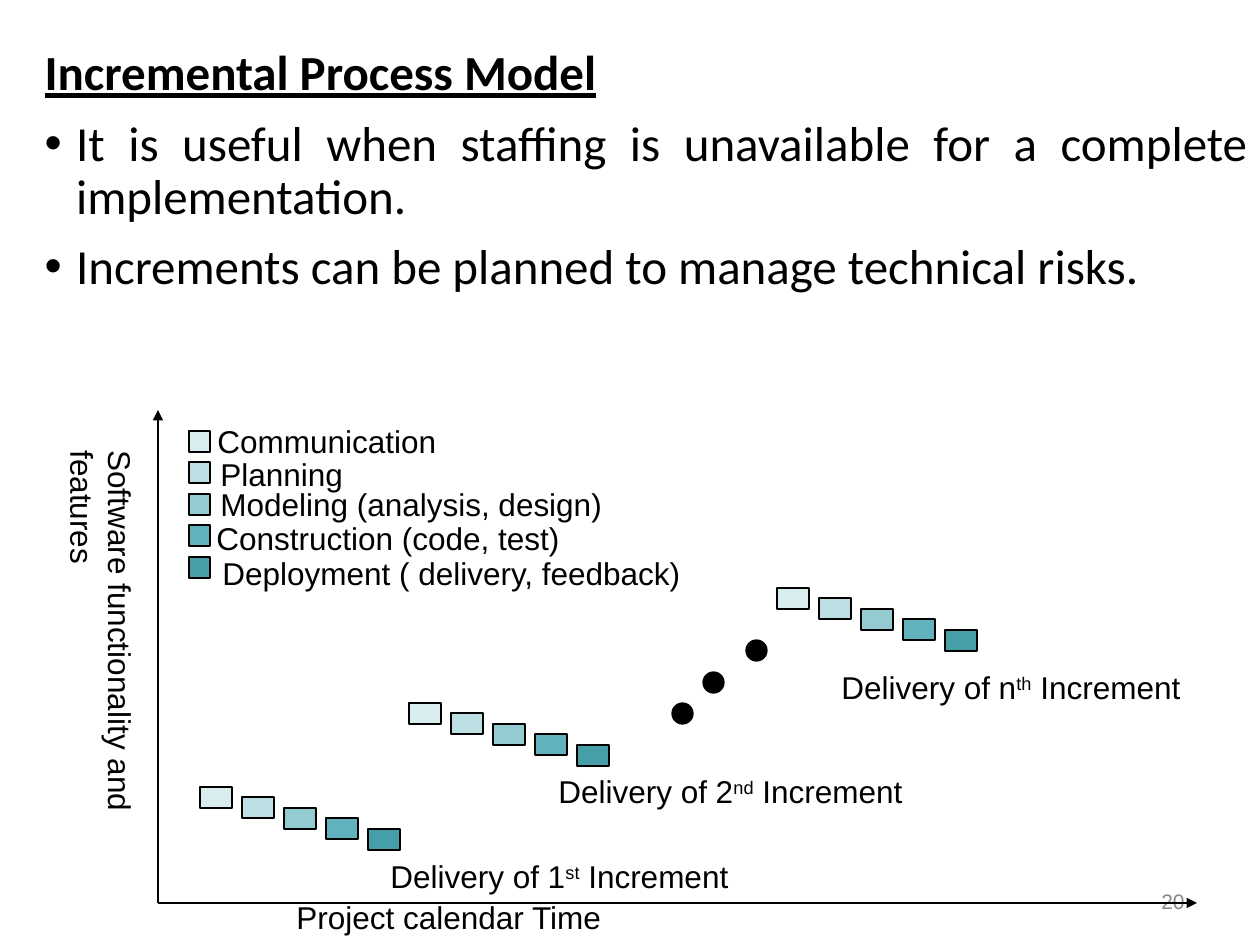
from dataclasses import dataclass

from lxml.etree import SubElement
from pptx import Presentation
from pptx.dml.color import RGBColor
from pptx.enum.shapes import MSO_CONNECTOR as Link, MSO_SHAPE as Shape
from pptx.enum.text import MSO_ANCHOR as Anchor, MSO_AUTO_SIZE as Fit, PP_ALIGN as Align
from pptx.oxml.ns import qn
from pptx.slide import Slide
from pptx.util import Inches, Pt

SCALE = Inches(1) / 126
BLACK = RGBColor(0x00, 0x00, 0x00)
GRAY = RGBColor(0x89, 0x89, 0x89)
PHASE_COLORS = [
    RGBColor(0xD9, 0xED, 0xEF),
    RGBColor(0xBB, 0xDF, 0xE3),
    RGBColor(0x93, 0xCB, 0xD1),
    RGBColor(0x60, 0xB3, 0xBC),
    RGBColor(0x46, 0x9F, 0xA8),
]
PHASE_LABELS = [
    ("Communication", 205, 416, 273),
    ("Planning", 208, 449, 273),
    ("Modeling (analysis, design)", 208, 479, 504),
    ("Construction (code, test)", 204, 513, 410),
    ("Deployment ( delivery, feedback)", 210, 548, 494),
]
INCREMENTS = [
    ("1", "st", (200, 787), (378, 851)),
    ("2", "nd", (409, 703), (546, 766)),
    ("n", "th", (777, 588), (829, 662)),
]
DOTS = [(672, 703), (703, 672), (746, 640)]
HEADING = "Incremental Process Model"
POINTS = [
    "It is useful when staffing is unavailable for a complete implementation.",
    "Increments can be planned to manage technical risks.",
]


def emu(*pixels):
    return [round(value * SCALE) for value in pixels]


@dataclass
class Painter:
    """Draws styled elements on the current slide."""

    page: Slide
    label_font: str = "Arial"
    body_font: str = "Calibri"
    label_size: int = 18
    body_size: int = 28
    line_width: float = 0.75

    def style(self, span, name, size, color=BLACK):
        span.font.name = name
        span.font.size = Pt(size)
        span.font.color.rgb = color

    def body(self, heading, points, left, top, width, height):
        box = self.page.placeholders[1]
        box.left, box.top, box.width, box.height = emu(left, top, width, height)
        frame = box.text_frame
        frame.text = "\n".join([heading, *points])
        frame.auto_size = Fit.NONE
        for index, para in enumerate(frame.paragraphs):
            para.alignment = Align.JUSTIFY
            para.line_spacing = 0.9
            para.space_before = Pt(10)
            span = para.runs[0]
            self.style(span, self.body_font, self.body_size)
            span.font.bold = span.font.underline = index == 0
            properties = para._p.get_or_add_pPr()
            properties.set("marL", str(Inches(0.25)))
            properties.set("indent", str(-Inches(0.25)))
            if index == 0:
                SubElement(properties, qn("a:buNone"))
            else:
                SubElement(properties, qn("a:buFont"), typeface="Arial")
                SubElement(properties, qn("a:buChar"), char="•")

    def label(self, text, left, top, width, height=50, size=None, color=BLACK):
        box = self.page.shapes.add_textbox(*emu(left, top, width, height))
        frame = box.text_frame
        frame.word_wrap = True
        frame.text = text
        self.style(frame.paragraphs[0].runs[0], self.label_font, size or self.label_size, color)
        return frame

    def delivery_label(self, number, suffix, left, top):
        para = self.label(f"Delivery of {number}", left, top, 431).paragraphs[0]
        for text, baseline in ((suffix, "30000"), (" Increment", "0")):
            span = para.add_run()
            span.text = text
            self.style(span, self.label_font, self.label_size)
            span._r.get_or_add_rPr().set("baseline", baseline)

    def shape(self, kind, left, top, width, height, color):
        item = self.page.shapes.add_shape(kind, *emu(left, top, width, height))
        item.shadow.inherit = False
        item.fill.solid()
        item.fill.fore_color.rgb = color
        item.line.color.rgb = BLACK
        item.line.width = Pt(self.line_width)

    def phases(self, left, top, width, step_x, double_step_y):
        for index, color in enumerate(PHASE_COLORS):
            y = top + index * double_step_y // 2
            self.shape(Shape.RECTANGLE, left + index * step_x, y, width, 21, color)

    def arrow(self, start, end):
        line = self.page.shapes.add_connector(Link.STRAIGHT, *emu(*start, *end))
        line.line.color.rgb = BLACK
        line.line.width = Pt(self.line_width)
        SubElement(line.line._get_or_add_ln(), qn("a:tailEnd"), type="triangle")
        SubElement(line._element.spPr, qn("a:effectLst"))


def main():
    deck = Presentation()
    deck.slide_width, deck.slide_height = emu(1260, 945)
    page = deck.slides.add_slide(deck.slide_layouts[1])
    title = page.shapes.title._element
    title.getparent().remove(title)
    painter = Painter(page)

    painter.body(HEADING, POINTS, 32, 42, 1228, 315)
    number = painter.label("20", 903, 876, 294, size=12, color=GRAY)
    number.vertical_anchor = Anchor.MIDDLE
    number.paragraphs[0].alignment = Align.RIGHT

    origin = (158, 903)
    painter.arrow(origin, (158, 410))
    painter.arrow(origin, (1197, 903))
    axis = painter.label("Software functionality and features", 83, 438, 63, 504)
    axis._txBody.bodyPr.set("vert", "eaVert")
    painter.label("Project calendar Time", 284, 892, 588)

    painter.phases(189, 431, 21, 0, 63)
    for text, left, top, width in PHASE_LABELS:
        painter.label(text, left, top, width)

    for ordinal, suffix, start, caption in INCREMENTS:
        painter.phases(*start, 32, 42, 21)
        painter.delivery_label(ordinal, suffix, *caption)
    for left, top in DOTS:
        painter.shape(Shape.OVAL, left, top, 21, 21, BLACK)

    deck.save("out.pptx")


if __name__ == "__main__":
    main()
